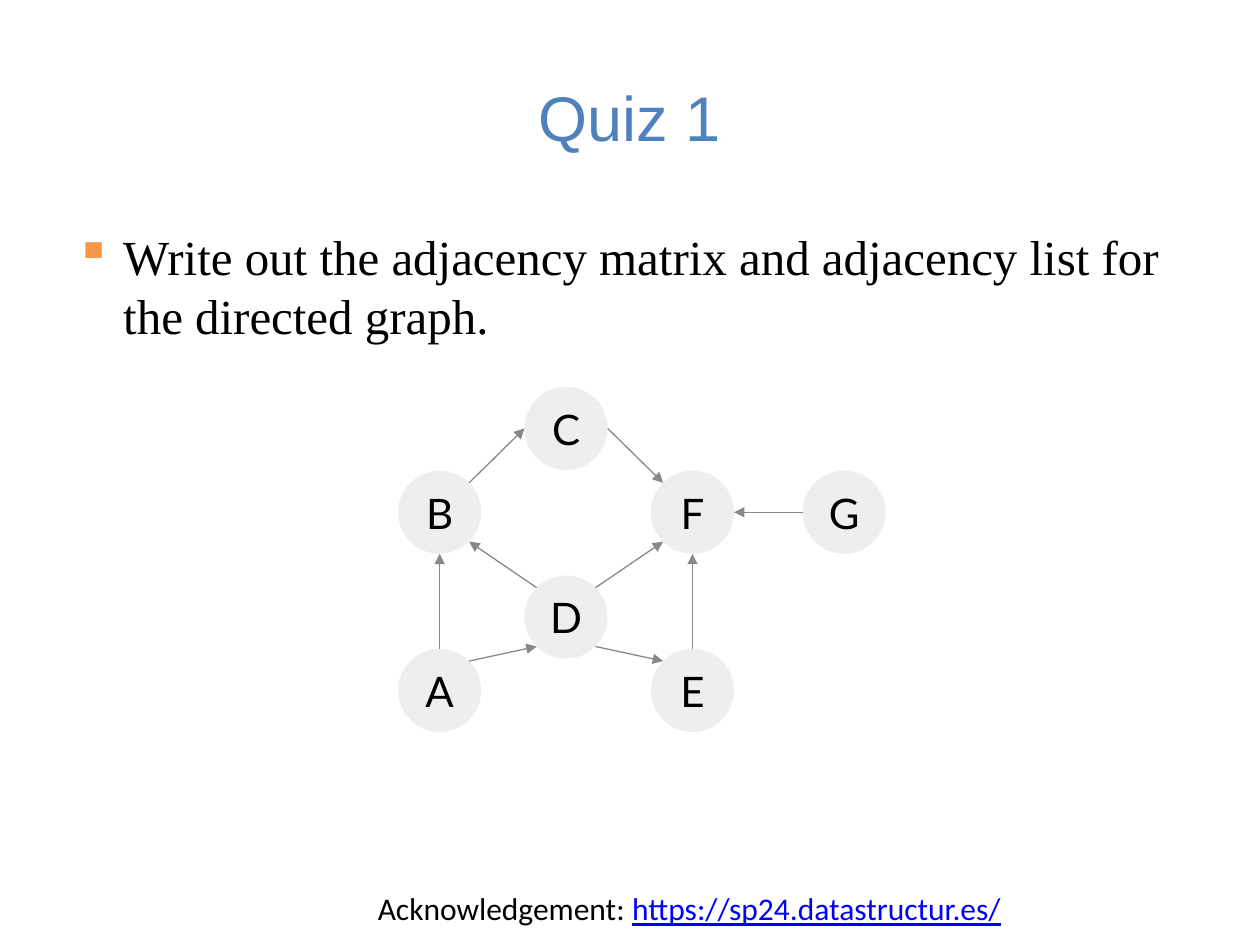
from collections import namedtuple
from dataclasses import dataclass
from math import sqrt

from lxml import etree
from pptx import Presentation
from pptx.dml.color import RGBColor
from pptx.enum.shapes import MSO_CONNECTOR, MSO_SHAPE
from pptx.enum.text import MSO_ANCHOR, PP_ALIGN
from pptx.oxml.ns import qn
from pptx.util import Inches, Pt

LEFT, CENTER = PP_ALIGN.LEFT, PP_ALIGN.CENTER
TOP, MIDDLE = MSO_ANCHOR.TOP, MSO_ANCHOR.MIDDLE
OVAL, STRAIGHT = MSO_SHAPE.OVAL, MSO_CONNECTOR.STRAIGHT

Box = namedtuple("Box", "left top width height")
WIDTH, HEIGHT = 10, 7.5


@dataclass(frozen=True)
class Theme:
    title = {"name": "Arial", "size": 36, "color": "4F81BD"}
    body = {"name": "Times New Roman", "size": 28, "color": "000000"}
    node = {"name": "Lato", "size": 24, "color": "000000"}
    source = {"name": "Calibri", "size": 18, "color": "000000"}
    link = {**source, "color": "0000FF", "underline": True}
    bullet = "F79646"
    node_fill = "EEEEEE"
    edge = "888888"
    edge_width = 0.75


THEME = Theme()

# Node name: column in steps, row as a share of the graph's height
NODES = {
    "A": (0, 1), "B": (0, 0.32), "D": (1, 0.72), "E": (2, 1),
    "F": (2, 0.32), "C": (1, 0), "G": (3.2, 0.32),
}
NODE_SIZE = 0.66
LAST_COLUMN = max(column for column, row in NODES.values())

# Points on a circle, as shares of its radius
DIAGONAL = 1 / sqrt(2)
SIDES = {
    "top": (0, -1), "bottom": (0, 1), "left": (-1, 0), "right": (1, 0),
    "top left": (-DIAGONAL, -DIAGONAL), "top right": (DIAGONAL, -DIAGONAL),
    "bottom left": (-DIAGONAL, DIAGONAL), "bottom right": (DIAGONAL, DIAGONAL),
}
EDGES = [
    ("A", "top", "B", "bottom"),
    ("A", "top right", "D", "bottom left"),
    ("D", "top left", "B", "bottom right"),
    ("B", "top right", "C", "left"),
    ("D", "top right", "F", "bottom left"),
    ("D", "bottom right", "E", "top left"),
    ("E", "top", "F", "bottom"),
    ("C", "right", "F", "top left"),
    ("G", "left", "F", "right"),
]


def add_run(paragraph, text, style):
    run = paragraph.add_run()
    run.text = text
    for name, value in style.items():
        if name == "color":
            run.font.color.rgb = RGBColor.from_string(value)
        else:
            setattr(run.font, name, Pt(value) if name == "size" else value)


def add_text(slide, box, runs, align=LEFT, anchor=TOP):
    shape = slide.shapes.add_textbox(*map(Inches, box))
    shape.text_frame.word_wrap = True
    shape.text_frame.vertical_anchor = anchor
    paragraph = shape.text_frame.paragraphs[0]
    paragraph.alignment = align
    for text, style in runs:
        add_run(paragraph, text, style)
    return paragraph


def add_title(slide, box):
    add_text(slide, box, [("Quiz 1", THEME.title)], CENTER, MIDDLE)


def add_question(slide, box):
    text = "Write out the adjacency matrix and adjacency list for the directed graph."
    paragraph = add_text(slide, box, [(text, THEME.body)])
    # Hanging square bullet
    properties = paragraph._p.get_or_add_pPr()
    indent = Inches(0.38)
    properties.set("marL", str(indent))
    properties.set("indent", str(-indent))
    color = etree.SubElement(properties, qn("a:buClr"))
    etree.SubElement(color, qn("a:srgbClr"), val=THEME.bullet)
    etree.SubElement(properties, qn("a:buChar"), char="▪")


def add_node(slide, name, center):
    left, top = (value - NODE_SIZE / 2 for value in center)
    shape = slide.shapes.add_shape(
        OVAL, *map(Inches, (left, top, NODE_SIZE, NODE_SIZE)))
    shape.shadow.inherit = False
    shape.fill.solid()
    shape.fill.fore_color.rgb = RGBColor.from_string(THEME.node_fill)
    shape.line.fill.background()
    frame = shape.text_frame
    frame_format = {"vertical_anchor": MIDDLE, "word_wrap": True}
    for side in ("left", "top", "right", "bottom"):
        frame_format[f"margin_{side}"] = Inches(0.1)
    for attribute, value in frame_format.items():
        setattr(frame, attribute, value)
    frame.paragraphs[0].alignment = CENTER
    add_run(frame.paragraphs[0], name, THEME.node)


def add_arrow(slide, start, end):
    connector = slide.shapes.add_connector(STRAIGHT, *map(Inches, (*start, *end)))
    connector.line.color.rgb = RGBColor.from_string(THEME.edge)
    connector.line.width = Pt(THEME.edge_width)
    etree.SubElement(connector.line._get_or_add_ln(), qn("a:tailEnd"), type="triangle")
    etree.SubElement(connector._element.spPr, qn("a:effectLst"))


def add_graph(slide, box):
    radius = NODE_SIZE / 2
    column_step = (box.width - NODE_SIZE) / LAST_COLUMN
    row_span = box.height - NODE_SIZE
    centers = {
        name: (box.left + radius + column * column_step,
               box.top + radius + row * row_span)
        for name, (column, row) in NODES.items()
    }

    def rim(name, side):
        return [middle + radius * share
                for middle, share in zip(centers[name], SIDES[side])]

    for name, center in centers.items():
        add_node(slide, name, center)
    for source, source_side, target, target_side in EDGES:
        add_arrow(slide, rim(source, source_side), rim(target, target_side))


def add_acknowledgement(slide, box):
    add_text(slide, box, [
        ("Acknowledgement: ", THEME.source),
        ("https://sp24.datastructur.es/", THEME.link),
    ])


def main():
    presentation = Presentation()
    presentation.slide_width = Inches(WIDTH)
    presentation.slide_height = Inches(HEIGHT)
    slide = presentation.slides.add_slide(presentation.slide_layouts[6])

    margin = 0.05 * WIDTH
    content_width = WIDTH - 2 * margin
    add_title(slide, Box(margin, 0.04 * HEIGHT, content_width, 1.25))
    add_question(slide, Box(margin, 1.75, content_width, 0.66 * HEIGHT))
    add_graph(slide, Box(3.16, 3.07, 3.87, 2.74))
    add_acknowledgement(slide, Box(0.29 * WIDTH, 7.01, 0.52 * WIDTH, 0.4))

    presentation.save("out.pptx")


if __name__ == "__main__":
    main()
